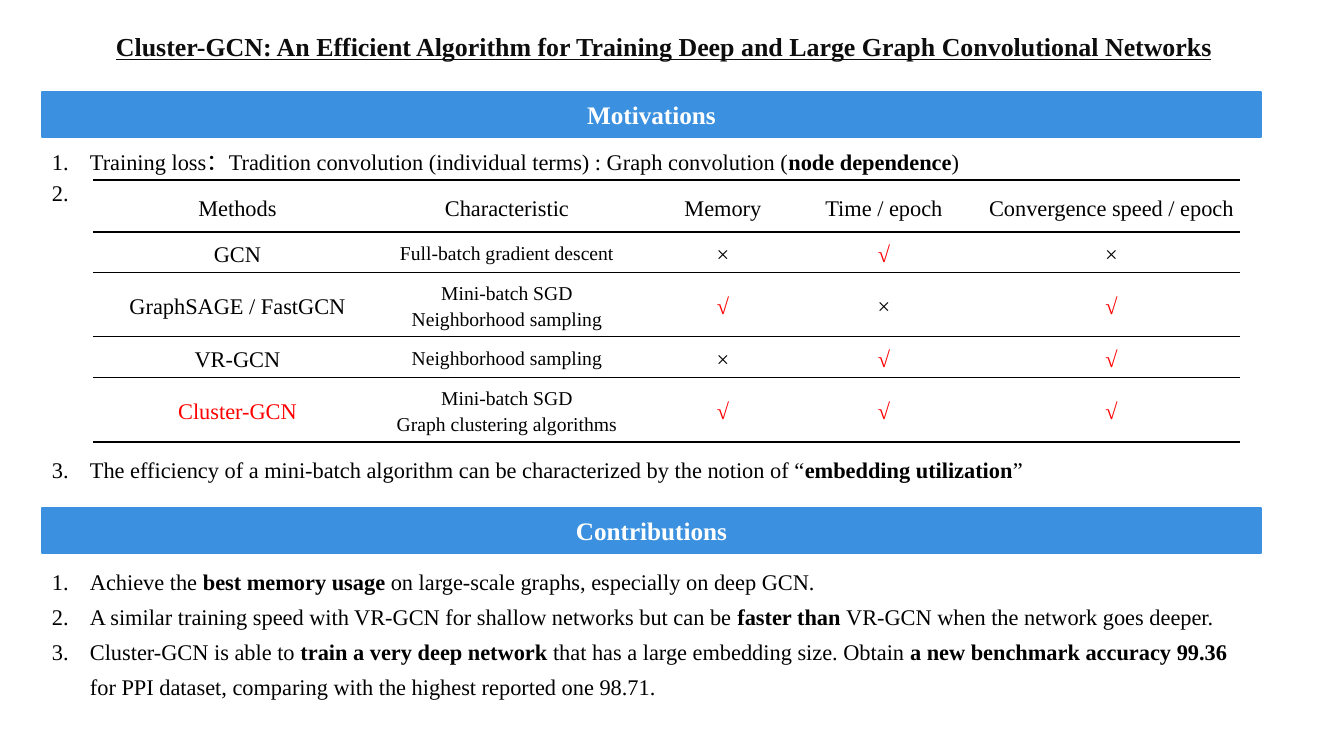
from dataclasses import dataclass

from lxml import etree
from pptx import Presentation
from pptx.dml.color import RGBColor
from pptx.enum.shapes import MSO_SHAPE
from pptx.enum.text import MSO_ANCHOR, PP_ALIGN
from pptx.oxml.ns import qn
from pptx.util import Pt

RECTANGLE = MSO_SHAPE.RECTANGLE
TOP, MIDDLE, BOTTOM = MSO_ANCHOR.TOP, MSO_ANCHOR.MIDDLE, MSO_ANCHOR.BOTTOM
CENTER = PP_ALIGN.CENTER

TITLE = ("Cluster-GCN: An Efficient Algorithm for Training Deep "
         "and Large Graph Convolutional Networks")

# Each list item is a sequence of (text, bold) spans.
MOTIVATIONS = [
    [("Training loss：Tradition convolution (individual terms) : Graph convolution (", False),
     ("node dependence", True), (")", False)],
    [(" ", False)],
    [("The efficiency of a mini-batch algorithm can be characterized by the notion of “", False),
     ("embedding utilization", True), ("”", False)],
]
CONTRIBUTIONS = [
    [("Achieve the ", False), ("best memory usage", True),
     (" on large-scale graphs, especially on deep GCN.", False)],
    [("A similar training speed with VR-GCN for shallow networks but can be ", False),
     ("faster than ", True), ("VR-GCN when the network goes deeper.", False)],
    [("Cluster-GCN is able to ", False), ("train a very deep network ", True),
     ("that has a large embedding size. Obtain ", False),
     ("a new benchmark accuracy 99.36", True),
     (" for PPI dataset, comparing with the highest reported one 98.71.", False)],
]
METHODS = [
    ("Methods", "Characteristic", "Memory", "Time / epoch", "Convergence speed / epoch"),
    ("GCN", "Full-batch gradient descent", "×", "√", "×"),
    ("GraphSAGE / FastGCN", "Mini-batch SGD\nNeighborhood sampling", "√", "×", "√"),
    ("VR-GCN", "Neighborhood sampling", "×", "√", "√"),
    ("Cluster-GCN", "Mini-batch SGD\nGraph clustering algorithms", "√", "√", "√"),
]
HIGHLIGHTS = ("√", "Cluster-GCN")


@dataclass(frozen=True)
class Theme:
    font: str = "Times New Roman"
    title_ink: str = "0D0D0D"
    ink: str = "000000"
    band: str = "3B91DF"
    band_ink: str = "FFFFFF"
    accent: str = "FF0000"
    title_size: float = 18.5
    band_size: float = 18
    body_size: float = 16
    detail_size: float = 14


THEME = Theme()

# Lengths in px
PX = 914400 / 100.8
SLIDE = (1344, 756)
TITLE_BOX = (65, 10, 1197, 57)
LEFT, WIDTH, BAND_HEIGHT = 42, 1219, 45
MOTIVATIONS_BAND, MOTIVATIONS_TOP, MOTIVATIONS_HEIGHT = 92, 139, 352
CONTRIBUTIONS_BAND, CONTRIBUTIONS_TOP, CONTRIBUTIONS_HEIGHT = 508, 555, 151
LIST_INDENT = 38
TABLE_LEFT, TABLE_TOP = 93, 180
COLUMNS = (260, 279, 153, 169, 286)
ROWS = (52, 40, 64, 41, 64)
CELL_INSET, CELL_INDENT = 4, 29

# Points
RULES = (1.5, 1, 0.5, 0.5, 0.5, 1)
MOTIVATIONS_PITCH, CONTRIBUTIONS_PITCH = 22, 25
TABLE_GAP = 8 * MOTIVATIONS_PITCH
PLAIN_TABLE = "{2D5ABB26-0587-4C30-8999-92F81FD0307C}"


def emu(*lengths):
    return [round(length * PX) for length in lengths]


def add_span(para, text, size, color, bold=False, underline=None):
    span = para.add_run()
    span.text = text
    font = span.font
    font.name, font.size = THEME.font, Pt(size)
    font.bold, font.underline = bold, underline
    font.color.rgb = RGBColor.from_string(color)


def add_box(page, area, anchor):
    frame = page.shapes.add_textbox(*emu(*area)).text_frame
    frame.word_wrap = True
    frame.vertical_anchor = anchor
    return frame


def add_title(page):
    para = add_box(page, TITLE_BOX, BOTTOM).paragraphs[0]
    para.alignment, para.line_spacing = CENTER, 0.9
    add_span(para, TITLE, THEME.title_size, THEME.title_ink, True, True)


def add_band(page, top, text):
    band = page.shapes.add_shape(RECTANGLE, *emu(LEFT, top, WIDTH, BAND_HEIGHT))
    band.shadow.inherit = False
    band.fill.solid()
    band.fill.fore_color.rgb = RGBColor.from_string(THEME.band)
    band.line.color.rgb = RGBColor.from_string(THEME.band)
    band.line.width = Pt(1)
    band.text_frame.vertical_anchor = MIDDLE
    para = band.text_frame.paragraphs[0]
    para.alignment = CENTER
    add_span(para, text, THEME.band_size, THEME.band_ink, True)


def add_numbered_list(page, top, height, items, pitch):
    frame = add_box(page, (LEFT, top, WIDTH, height), TOP)
    for index, item in enumerate(items):
        para = frame.paragraphs[0] if index == 0 else frame.add_paragraph()
        para.line_spacing = Pt(pitch)
        props = para._p.get_or_add_pPr()
        indent, = emu(LIST_INDENT)
        props.set("marL", str(indent))
        props.set("indent", str(-indent))
        etree.SubElement(props, qn("a:buAutoNum"), type="arabicPeriod")
        for text, bold in item:
            add_span(para, text, THEME.body_size, THEME.ink, bold)
    return frame


def rule_cell(cell, above, below):
    """Draw the horizontal rules above and below a cell, in points."""
    props = cell._tc.get_or_add_tcPr()
    for place, (tag, width) in enumerate((("a:lnT", above), ("a:lnB", below))):
        line = etree.Element(qn(tag), w=str(Pt(width)))
        fill = etree.SubElement(line, qn("a:solidFill"))
        etree.SubElement(fill, qn("a:srgbClr"), val=THEME.ink)
        props.insert(place, line)


def fill_cell(cell, text, size):
    cell.fill.background()
    cell.vertical_anchor = MIDDLE
    inset, indent = emu(CELL_INSET, CELL_INDENT)
    cell.margin_left = cell.margin_right = inset
    cell.margin_top = cell.margin_bottom = inset
    color = THEME.accent if text in HIGHLIGHTS else THEME.ink
    frame = cell.text_frame
    for index, line in enumerate(text.split("\n")):
        para = frame.paragraphs[0] if index == 0 else frame.add_paragraph()
        para.alignment, para.line_spacing = CENTER, 1.2
        para._p.get_or_add_pPr().set("indent", str(indent))
        add_span(para, line, size, color)


def add_methods_table(page):
    area = emu(TABLE_LEFT, TABLE_TOP, sum(COLUMNS), sum(ROWS))
    table = page.shapes.add_table(len(ROWS), len(COLUMNS), *area).table
    table.first_row = table.horz_banding = False
    table._tbl.tblPr.find(qn("a:tableStyleId")).text = PLAIN_TABLE
    for column, width in zip(table.columns, emu(*COLUMNS)):
        column.width = width
    for row, height in zip(table.rows, emu(*ROWS)):
        row.height = height
    for r, texts in enumerate(METHODS):
        for c, text in enumerate(texts):
            is_detail = r > 0 and c == 1
            cell = table.cell(r, c)
            fill_cell(cell, text, THEME.detail_size if is_detail else THEME.body_size)
            rule_cell(cell, RULES[r], RULES[r + 1])


def main():
    deck = Presentation()
    deck.slide_width, deck.slide_height = emu(*SLIDE)
    page = deck.slides.add_slide(deck.slide_layouts[6])
    add_title(page)
    motivations = add_numbered_list(page, MOTIVATIONS_TOP, MOTIVATIONS_HEIGHT,
                                    MOTIVATIONS, MOTIVATIONS_PITCH)
    motivations.paragraphs[-1].space_before = Pt(TABLE_GAP)
    add_band(page, MOTIVATIONS_BAND, "Motivations")
    add_band(page, CONTRIBUTIONS_BAND, "Contributions")
    add_numbered_list(page, CONTRIBUTIONS_TOP, CONTRIBUTIONS_HEIGHT,
                      CONTRIBUTIONS, CONTRIBUTIONS_PITCH)
    add_methods_table(page)
    deck.save("out.pptx")


if __name__ == "__main__":
    main()
